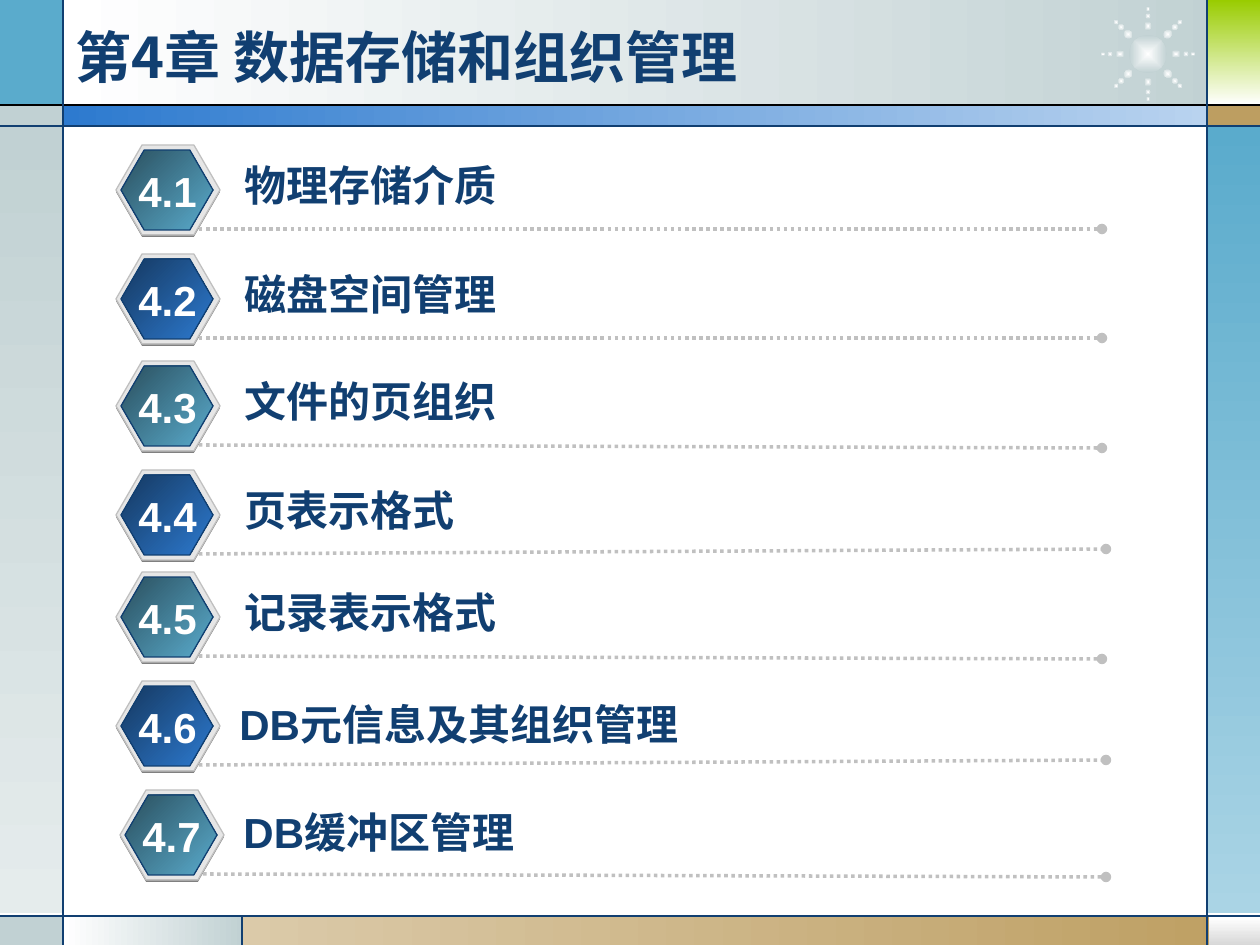
"""Build the contents slide of chapter 4, on data storage and organisation."""
import math
import pptx
import pptx.util
import pptx.dml.color
import pptx.enum.dml
import pptx.enum.shapes
import pptx.enum.text
import pptx.oxml
import pptx.oxml.ns

RGB = pptx.dml.color.RGBColor
KIND = pptx.enum.shapes.MSO_SHAPE
LINK = pptx.enum.shapes.MSO_CONNECTOR.STRAIGHT
ALIGN = pptx.enum.text.PP_ALIGN
FIT = pptx.enum.text.MSO_AUTO_SIZE
qn = pptx.oxml.ns.qn
NS = pptx.oxml.ns.nsdecls("a")
PX = 9144000 / 1260
CJK = "Noto Sans CJK SC"

WHITE = RGB(0xFF, 0xFF, 0xFF)
BLACK = RGB(0x00, 0x00, 0x00)
NAVY = RGB(0x11, 0x3F, 0x71)
MIST = RGB(0xC1, 0xD1, 0xD3)
PALE = RGB(0xE5, 0xEC, 0xEC)
SKY = RGB(0x5A, 0xAB, 0xCC)
ICE = RGB(0xAA, 0xD4, 0xE5)
TEAL = RGB(0x2A, 0x4F, 0x5E)
DEEP = RGB(0x15, 0x38, 0x60)
BLUE = RGB(0x2D, 0x7A, 0xCF)
HAZE = RGB(0xB9, 0xD3, 0xEF)
SAND = RGB(0xDB, 0xCA, 0xA9)
TAN = RGB(0xBD, 0x9E, 0x61)
LIME = RGB(0x99, 0xCC, 0x00)
ASH = RGB(0xD8, 0xD8, 0xD8)
GREY = RGB(0x80, 0x80, 0x80)
RIM = RGB(0xE6, 0xE6, 0xE6)
EDGE = RGB(0xC0, 0xC0, 0xC0)


def draw(home, kind, box, tones, turn=0, edge=None):
    """Add a shape with a plain or two-colour fill and an optional edge."""
    shape = home.shapes.add_shape(kind, *[round(v * PX) for v in box])
    shape.shadow.inherit = False
    if len(tones) == 1:
        shape.fill.solid()
        shape.fill.fore_color.rgb = tones[0]
    else:
        shape.fill.gradient()
        shape.fill.gradient_angle = -turn % 360
        for stop, tone in zip(shape.fill.gradient_stops, tones):
            stop.color.rgb = tone
    if edge is None:
        shape.line.fill.background()
    else:
        shape.line.color.rgb = edge
        shape.line.width = pptx.util.Pt(0.75)
    return shape


def write(box, text, size, tone, font="Arial", align=ALIGN.LEFT, wrap=False):
    """Add a text box holding one bold run; without wrap it fits its text."""
    frame = slide.shapes.add_textbox(*[round(v * PX) for v in box]).text_frame
    frame.word_wrap = wrap
    frame.auto_size = FIT.NONE if wrap else FIT.SHAPE_TO_FIT_TEXT
    frame.vertical_anchor = pptx.enum.text.MSO_ANCHOR.MIDDLE
    para = frame.paragraphs[0]
    para.alignment = align
    run = para.add_run()
    run.text = text
    run.font.size = pptx.util.Pt(size)
    run.font.bold = True
    run.font.name = font
    run.font.color.rgb = tone
    run.font._element.append(pptx.oxml.parse_xml(f'<a:ea {NS} typeface="{CJK}"/>'))


deck = pptx.Presentation()
deck.slide_width = round(1260 * PX)
deck.slide_height = round(945 * PX)
slide = deck.slides.add_slide(deck.slide_layouts[6])

bands = [
    ((63, 0, 1168, 106), (WHITE, MIST), 0),
    ((0, 0, 63, 106), (SKY,), 0),
    ((0, 105, 63, 21), (MIST,), 0),
    ((0, 126, 63, 787), (MIST, PALE), 90),
    ((0, 917, 63, 28), (MIST,), 0),
    ((63, 916, 180, 29), (WHITE, MIST), 0),
    ((242, 916, 1018, 29), (SAND, TAN), 0),
    ((1209, 917, 51, 28), (WHITE, ASH), 90),
    ((1207, 126, 53, 787), (SKY, ICE), 90),
    ((1207, 105, 53, 21), (TAN,), 0),
    ((1208, 0, 52, 105), (LIME, WHITE), 90),
    ((63, 105, 1145, 21), (BLUE, HAZE), 0),
]
for box, tones, turn in bands:
    draw(slide, KIND.RECTANGLE, box, tones, turn)

dots = [(1148, 54, 38, 38, 0)]
for step in range(8):
    ray = math.radians(45 * step)
    for reach, wide, high in ((28, 9, 8), (38, 6, 6), (45, 5, 4)):
        dots.append((1148 + reach * math.cos(ray), 54 + reach * math.sin(ray),
                     wide, high, 45 * step))
star = slide.shapes.add_group_shape()
for x, y, wide, high, spin in dots:
    dot = draw(star, KIND.OVAL, (x - wide / 2, y - high / 2, wide, high), (WHITE, MIST))
    dot.rotation = spin
    lin = dot.fill._xPr.find(qn("a:gradFill")).find(qn("a:lin"))
    lin.getparent().replace(lin, pptx.oxml.parse_xml(
        f'<a:path {NS} path="rect">'
        '<a:fillToRect l="50000" t="50000" r="50000" b="50000"/></a:path>'))

rules = [
    ((0, 105, 1260, 105), BLACK),
    ((0, 126, 1260, 126), NAVY),
    ((0, 916, 1260, 916), NAVY),
    ((63, 0, 63, 945), NAVY),
    ((1207, 0, 1207, 945), NAVY),
    ((242, 916, 242, 945), NAVY),
]
for ends, tone in rules:
    rule = slide.shapes.add_connector(LINK, *[round(v * PX) for v in ends])
    rule.line.color.rgb = tone
    rule.line.width = pptx.util.Pt(0.75)
    rule._element.spPr.append(pptx.oxml.parse_xml(f"<a:effectLst {NS}/>"))

write((63, 17, 1124, 78), "第4章 数据存储和组织管理", 32, NAVY, CJK, wrap=True)

rows = [
    ("物理存储介质", 116, 145, 232, 8, 277, 1102, 229),
    ("磁盘空间管理", 116, 254, 232, 8, 277, 1102, 338),
    ("文件的页组织", 116, 361, 232, 8, 277, 1102, 448),
    ("页表示格式", 116, 470, 232, 8, 235, 1106, 549),
    ("记录表示格式", 116, 572, 232, 8, 277, 1102, 659),
    ("DB元信息及其组织管理", 116, 681, 227, 11, 474, 1106, 760),
    ("DB缓冲区管理", 120, 790, 231, 10, 306, 1106, 877),
]
for num, (label, x, y, left, drop, wide, end, low) in enumerate(rows, 1):
    badge = slide.shapes.add_group_shape()
    core = (TEAL, SKY) if num % 2 else (DEEP, BLUE)
    for box, tones, edge in (
        ((x, y + 2, 104, 90), (GREY,), None),
        ((x, y, 104, 90), (RIM,), EDGE),
        ((x + 5, y + 5, 92, 80), core, NAVY),
    ):
        draw(badge, KIND.HEXAGON, box, tones, 45, edge).adjustments[0] = 0.29

    ends = (x + 83, y + 84, end, low)
    rule = slide.shapes.add_connector(LINK, *[round(v * PX) for v in ends])
    rule.line.color.rgb = EDGE
    rule.line.width = pptx.util.Pt(2)
    rule.line.dash_style = pptx.enum.dml.MSO_LINE.ROUND_DOT
    rule.line._ln.append(pptx.oxml.parse_xml(f'<a:tailEnd {NS} type="oval"/>'))
    rule._element.spPr.append(pptx.oxml.parse_xml(f"<a:effectLst {NS}/>"))

    write((left, y + drop, wide, 63), label, 24, NAVY)
    write((x + 9, y + 14, 85, 63), f"4.{num}", 24, WHITE, align=ALIGN.CENTER)

deck.save("out.pptx")
